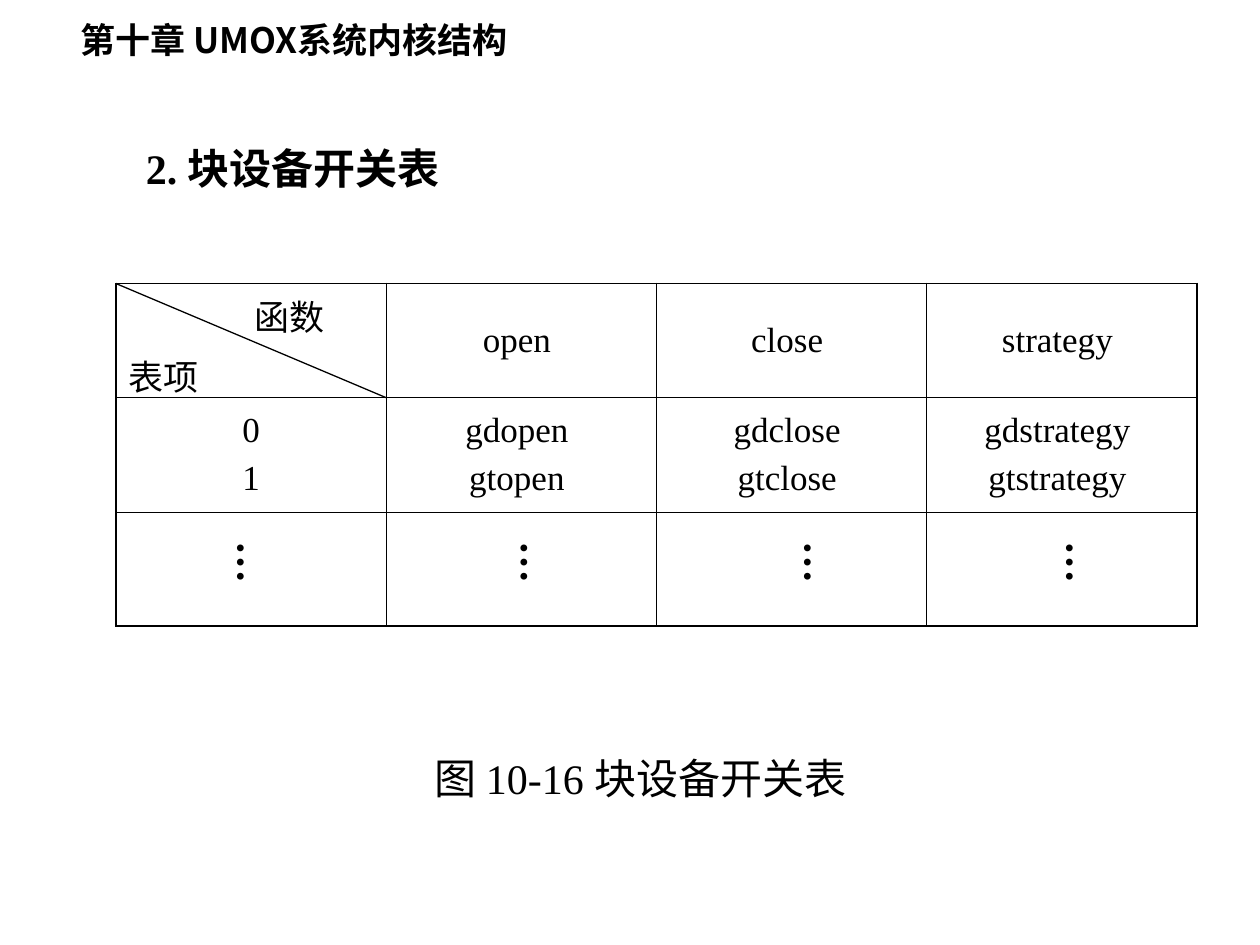
from dataclasses import dataclass
from lxml.etree import SubElement
from pptx import Presentation
from pptx.dml.color import RGBColor
from pptx.enum.shapes import MSO_CONNECTOR
from pptx.enum.text import MSO_ANCHOR, MSO_AUTO_SIZE, PP_ALIGN
from pptx.oxml.ns import qn
from pptx.util import Inches, Pt


@dataclass(frozen=True)
class Theme:
    ink: str = "000000"
    paper: str = "FFFFFF"
    sans: str = "Noto Sans CJK JP"
    serif: str = "Times New Roman"
    small: int = 20
    large: int = 24
    thin: float = 0.45
    thick: float = 1.08
    rule: float = 0.75


THEME = Theme()
ROWS = [
    [["函数", "表项"], ["open"], ["close"], ["strategy"]],
    [["0", "1"], ["gdopen", "gtopen"], ["gdclose", "gtclose"],
     ["gdstrategy", "gtstrategy"]],
    [[], [], [], []],
]
DOTS = [0.75, 3, 5.25, 7.33]


def apply(item, values):
    for name, value in values.items():
        setattr(item, name, value)


def style(run, size, face=THEME.serif, bold=False):
    apply(run.font, {"size": Pt(size), "name": face, "bold": bold})
    run.font.color.rgb = RGBColor.from_string(THEME.ink)


def label(slide, box, text, size, face=THEME.serif, bold=False, tall=False):
    frame = slide.shapes.add_textbox(*map(Inches, box)).text_frame
    side, edge = (0.05, 0.1) if tall else (0.1, 0.05)
    apply(frame, {
        "word_wrap": False, "auto_size": MSO_AUTO_SIZE.SHAPE_TO_FIT_TEXT,
        "margin_left": Inches(side), "margin_right": Inches(side),
        "margin_top": Inches(edge), "margin_bottom": Inches(edge),
    })
    if tall:
        frame._txBody.bodyPr.set("vert", "eaVert")
    run = frame.paragraphs[0].add_run()
    run.text = text
    style(run, size, face, bold)


def border(cell, sides):
    props = cell._tc.get_or_add_tcPr()
    for spot, (side, outer) in enumerate(sides.items()):
        width = THEME.thick if outer else THEME.thin
        line = SubElement(props, qn(f"a:ln{side}"), w=str(Pt(width)))
        fill = SubElement(line, qn("a:solidFill"))
        SubElement(fill, qn("a:srgbClr"), val=THEME.ink)
        props.remove(line)
        props.insert(spot, line)


def write(cell, lines):
    frame = cell.text_frame
    for spot, text in enumerate(lines):
        para = frame.add_paragraph() if spot else frame.paragraphs[0]
        apply(para, {"alignment": PP_ALIGN.CENTER, "space_before": Pt(5)})
        run = para.add_run()
        run.text = text
        style(run, THEME.small)


def corner(slide, box, cell):
    x, y, w, h = box
    upper, lower = cell.text_frame.paragraphs
    upper._p.get_or_add_pPr().set("marL", str(Inches(0.61)))
    lower.alignment = PP_ALIGN.LEFT
    line = slide.shapes.add_connector(
        MSO_CONNECTOR.STRAIGHT, *map(Inches, (x, y, x + w, y + h)))
    line.line.width = Pt(THEME.rule)
    line.line.color.rgb = RGBColor.from_string(THEME.ink)
    SubElement(line._element.spPr, qn("a:effectLst"))


def grid(slide, box):
    x, y, w, h = box
    high, wide = len(ROWS), len(ROWS[0])
    table = slide.shapes.add_table(high, wide, *map(Inches, box)).table
    apply(table, {"first_row": False, "horz_banding": False})
    for r, row in enumerate(ROWS):
        for c, lines in enumerate(row):
            cell = table.cell(r, c)
            apply(cell, {
                "vertical_anchor": MSO_ANCHOR.MIDDLE,
                "margin_left": Inches(0.1),
                "margin_right": Inches(0.17 if c else 0.1),
                "margin_top": Inches(0.05), "margin_bottom": Inches(0.05),
            })
            cell.fill.background()
            border(cell, {"L": c == 0, "R": c == wide - 1,
                          "T": r == 0, "B": r == high - 1})
            write(cell, lines)
    for left in DOTS:
        label(slide, (x + left, y + 1.95, 0.6, 0.52), "…", THEME.large,
              bold=True, tall=True)
    corner(slide, (x, y, w / wide, h / high), table.cell(0, 0))


def page(slide, box):
    x, y, w, h = box
    slide.background.fill.solid()
    slide.background.fill.fore_color.rgb = RGBColor.from_string(THEME.paper)
    label(slide, (x + 0.54, y + 0.1, 3.64, 0.44), "第十章 UMOX系统内核结构",
          THEME.small, THEME.sans, True)
    label(slide, (x + 1.06, y + 1.08, 2.69, 0.5), "2. 块设备开关表",
          THEME.large, bold=True)
    grid(slide, (x + 0.92, y + 2.25, w - 1.42, 2.72))
    label(slide, (x + 3.35, y + 5.92, 3.7, 0.5), "图 10-16 块设备开关表",
          THEME.large)


def main():
    deck = Presentation()
    apply(deck, {"slide_width": Inches(10), "slide_height": Inches(7.5)})
    page(deck.slides.add_slide(deck.slide_layouts[6]), (0, 0, 10, 7.5))
    deck.save("out.pptx")


if __name__ == "__main__":
    main()
